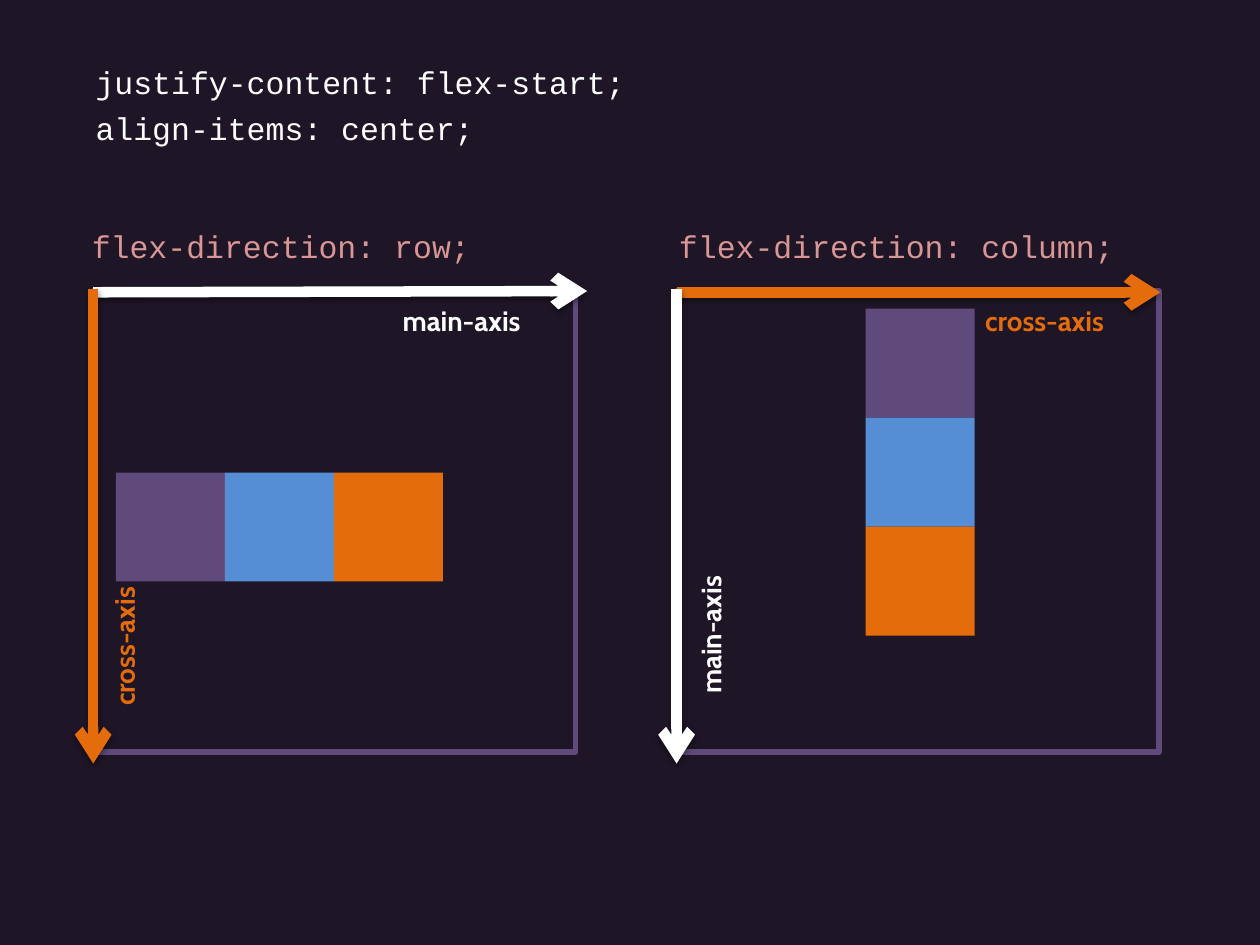
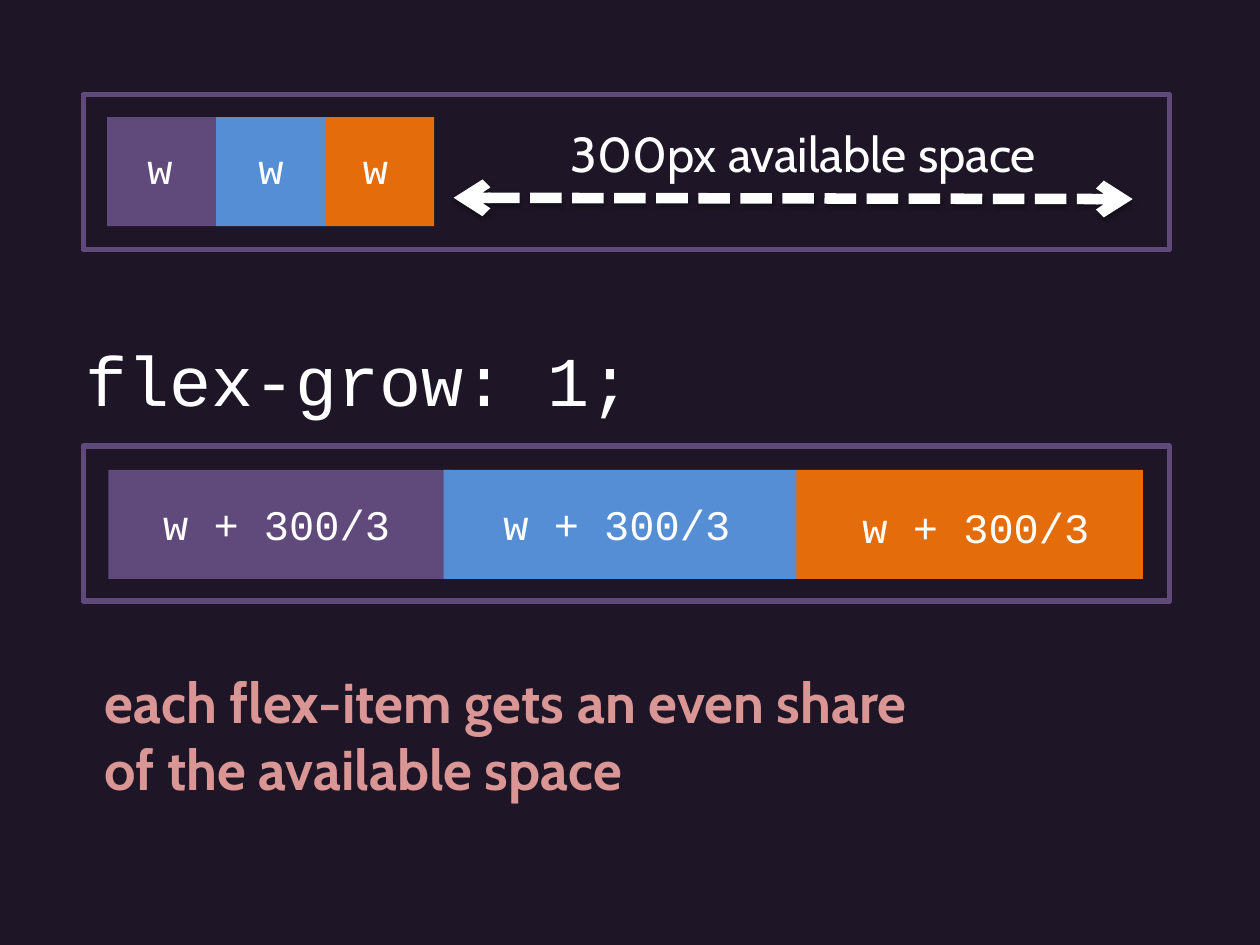
from lxml.etree import SubElement
from pptx import Presentation
from pptx.dml.color import RGBColor
from pptx.enum.dml import MSO_LINE
from pptx.enum.shapes import MSO_CONNECTOR, MSO_SHAPE
from pptx.enum.text import MSO_AUTO_SIZE, PP_ALIGN
from pptx.oxml.ns import qn
from pptx.util import Pt

PX = 4572  # EMU per px, 200 px to the inch
COLORS = {
    "background": "1E1526",
    "purple": "604A7B",
    "blue": "558ED5",
    "orange": "E46C0A",
    "white": "FFFFFF",
    "pink": "D99694",
}
ITEM_COLORS = ("purple", "blue", "orange")
CODE, PROSE = "Courier New", "Cabin"
ITEM = 173  # side of a square flex item


def rgb(name):
    return RGBColor.from_string(COLORS[name])


def emu(*lengths):
    return [length * PX for length in lengths]


# Kinds of element
def add_slide(prs):
    slide = prs.slides.add_slide(prs.slide_layouts[6])
    slide.background.fill.solid()
    slide.background.fill.fore_color.rgb = rgb("background")
    return slide


def add_item(slide, left, top, width, color):
    item = slide.shapes.add_shape(MSO_SHAPE.RECTANGLE, *emu(left, top, width, ITEM))
    item.shadow.inherit = False
    item.fill.solid()
    item.fill.fore_color.rgb = rgb(color)
    item.line.fill.background()


def add_squares(slide, left, top, step_x=0, step_y=0):
    for i, color in enumerate(ITEM_COLORS):
        add_item(slide, left + i * step_x, top + i * step_y, ITEM, color)


def add_container(slide, left, top, width, height):
    container = slide.shapes.add_shape(MSO_SHAPE.RECTANGLE, *emu(left, top, width, height))
    container.shadow.inherit = False
    container.fill.background()
    container.line.color.rgb = rgb("purple")
    container.line.width = Pt(3)


def add_text(slide, box, lines, size, font=CODE, color="white", bold=False,
             align=PP_ALIGN.LEFT, rotation=0):
    label = slide.shapes.add_textbox(*emu(*box))
    label.rotation = rotation
    frame = label.text_frame
    frame.word_wrap = True
    frame.auto_size = MSO_AUTO_SIZE.SHAPE_TO_FIT_TEXT
    frame.text = lines
    for paragraph in frame.paragraphs:
        paragraph.alignment = align
        paragraph.font.name = font
        paragraph.font.size = Pt(size)
        paragraph.font.bold = bold
        paragraph.font.color.rgb = rgb(color)


def add_arrow(slide, start, end, color, dash=None, both_ends=False):
    arrow = slide.shapes.add_connector(MSO_CONNECTOR.STRAIGHT, *emu(*start, *end))
    arrow.line.color.rgb = rgb(color)
    arrow.line.width = Pt(6)
    if dash:
        arrow.line.dash_style = dash
    outline = arrow._element.spPr.find(qn("a:ln"))
    for end_tag in ("a:headEnd", "a:tailEnd") if both_ends else ("a:tailEnd",):
        SubElement(outline, qn(end_tag), type="arrow")
    # Soft shadow straight below the line
    effects = SubElement(arrow._element.spPr, qn("a:effectLst"))
    shadow = SubElement(effects, qn("a:outerShdw"), blurRad="40000", dist="20000",
                        dir="5400000", rotWithShape="0")
    black = SubElement(shadow, qn("a:srgbClr"), val="000000")
    SubElement(black, qn("a:alpha"), val="38000")


def add_axes(slide, left, direction, direction_left, across, down, arrow_tip, down_box):
    """Container with its flex-direction and two (label, color) axes."""
    add_container(slide, left, 462, 766, 732)
    add_text(slide, (direction_left, 350, 924, 80), f"flex-direction: {direction};",
             18, color="pink")
    across_label, across_color = across
    down_label, down_color = down
    add_arrow(slide, (left, 464), arrow_tip, across_color)
    add_arrow(slide, (left, 458), (left, 1212), down_color)
    add_text(slide, (left, 472, 698, 74), across_label, 16, PROSE, across_color,
             bold=True, align=PP_ALIGN.RIGHT)
    add_text(slide, down_box, down_label, 16, PROSE, down_color, bold=True, rotation=270)


# Slides
def build_alignment(prs):
    slide = add_slide(prs)
    for top, rule in ((90, "justify-content: flex-start;"), (164, "align-items: center;")):
        add_text(slide, (132, top, 924, 80), rule, 18)
    add_squares(slide, 184, 750, step_x=ITEM)
    add_squares(slide, 1374, 490, step_y=ITEM)
    main_axis, cross_axis = ("main-axis", "white"), ("cross-axis", "orange")
    add_axes(slide, 148, "row", 126, main_axis, cross_axis, (932, 462), (-140, 766, 674, 74))
    add_axes(slide, 1074, "column", 1058, cross_axis, main_axis, (1842, 464),
             (804, 760, 648, 74))


def build_growth(prs):
    slide = add_slide(prs)

    # Items before growing
    add_container(slide, 132, 150, 1724, 246)
    add_squares(slide, 170, 186, step_x=ITEM)
    for left in (202, 378, 544):
        add_text(slide, (left, 216, 104, 100), "w", 24, align=PP_ALIGN.CENTER)
    add_arrow(slide, (720, 314), (1798, 316), "white", MSO_LINE.SQUARE_DOT, both_ends=True)
    add_text(slide, (858, 186, 834, 114), "300px available space", 28, PROSE,
             align=PP_ALIGN.CENTER)

    # Items after growing
    add_text(slide, (116, 524, 978, 154), "flex-grow: 1;", 40)
    grown_items = ((172, 546, 204, 782), (704, 562, 744, 782), (1264, 550, 1314, 786))
    for color, (left, width, label_left, label_top) in zip(ITEM_COLORS, grown_items):
        add_item(slide, left, 746, width, color)
        add_text(slide, (label_left, label_top, 470, 100), "w + 300/3", 24,
                 align=PP_ALIGN.CENTER)
    add_container(slide, 132, 708, 1724, 246)

    # Conclusion
    add_text(slide, (146, 1050, 1738, 236),
             "each flex-item gets an even share\nof the available space",
             32, PROSE, "pink", bold=True)


def main():
    prs = Presentation()
    prs.slide_width, prs.slide_height = emu(2000, 1500)
    build_alignment(prs)
    build_growth(prs)
    prs.save("out.pptx")


if __name__ == "__main__":
    main()
